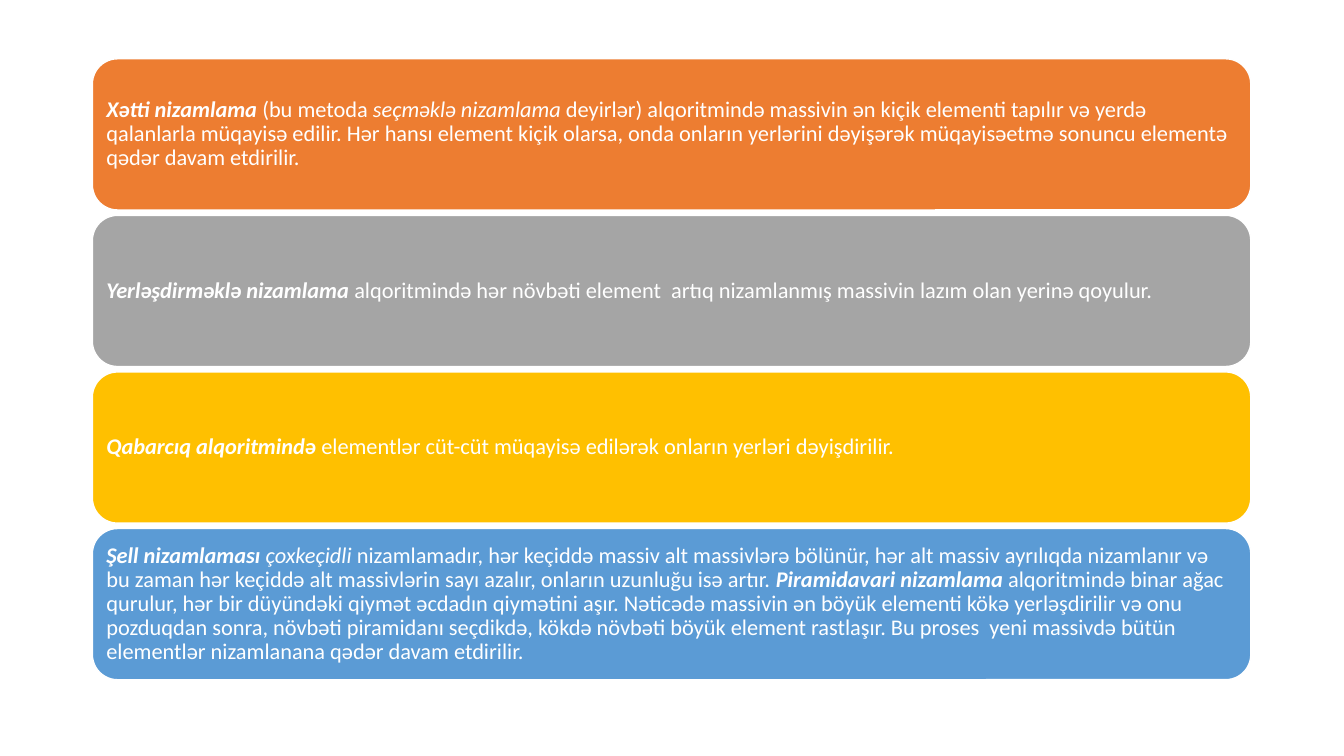
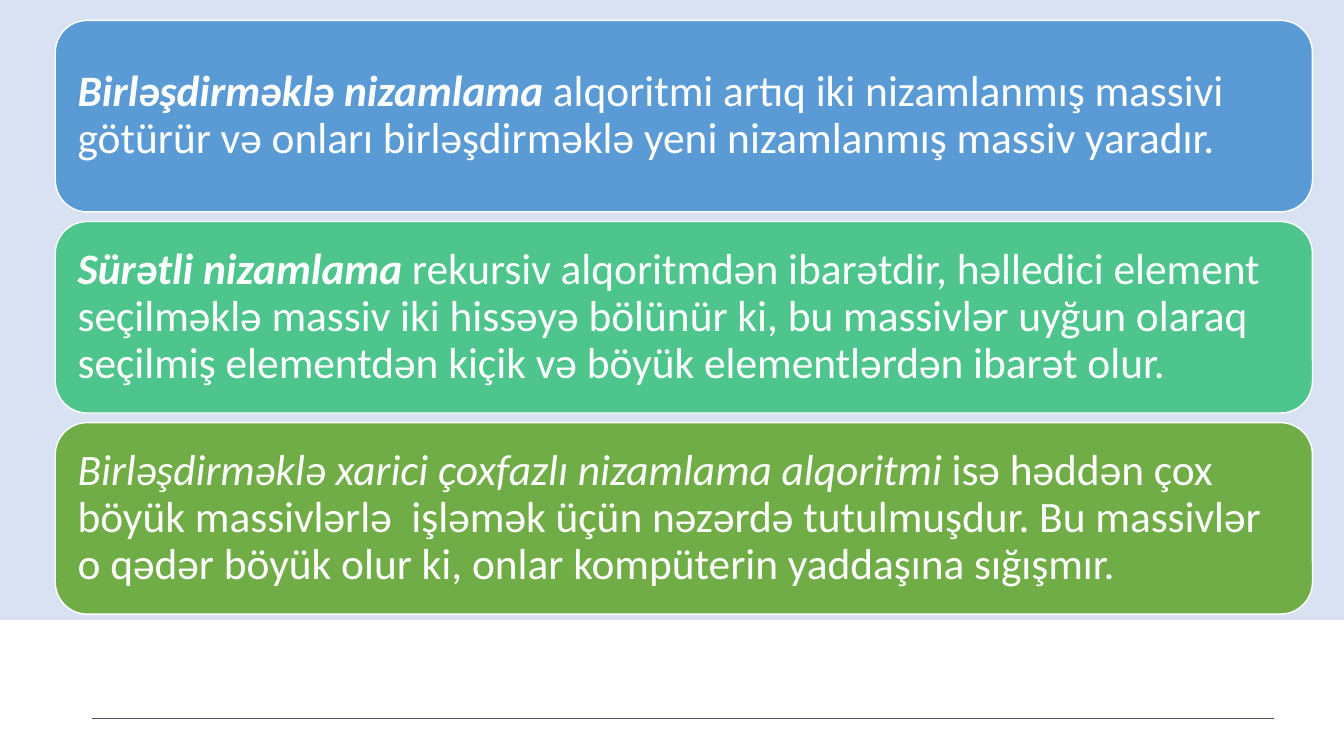
from dataclasses import dataclass

from lxml import etree
from pptx import Presentation
from pptx.dml.color import RGBColor
from pptx.enum.shapes import MSO_CONNECTOR, MSO_SHAPE
from pptx.enum.text import MSO_ANCHOR, PP_ALIGN
from pptx.oxml.ns import qn
from pptx.util import Pt

ROUND = MSO_SHAPE.ROUNDED_RECTANGLE
RECT = MSO_SHAPE.RECTANGLE
STRAIGHT = MSO_CONNECTOR.STRAIGHT
MIDDLE = MSO_ANCHOR.MIDDLE
LEFT = PP_ALIGN.LEFT

WIDTH, HEIGHT = 960, 540
FONT = "Calibri"
COLORS = {
    "white": "FFFFFF",
    "orange": "ED7D31",
    "gray": "A5A5A5",
    "gold": "FFC000",
    "blue": "5B9BD5",
    "mint": "4DC58D",
    "green": "70AD47",
    "band": "4472C4",
    "rule": "44546A",
}


@dataclass(frozen=True)
class Span:
    text: str
    bold: bool = False
    italic: bool = False


@dataclass(frozen=True)
class Card:
    color: str
    spans: tuple[Span, ...]


@dataclass(frozen=True)
class Stack:
    """A column of equal cards; lengths in points."""
    left: float
    top: float
    width: float
    height: float
    gap: float
    size: int
    cards: tuple[Card, ...]


def term(text: str) -> Span:
    return Span(text, bold=True, italic=True)


def slant(text: str) -> Span:
    return Span(text, italic=True)


def rgb(name: str) -> RGBColor:
    return RGBColor.from_string(COLORS[name])


def add_card(slide, stack: Stack, card: Card, top: float) -> None:
    shape = slide.shapes.add_shape(
        ROUND, Pt(stack.left), Pt(top), Pt(stack.width), Pt(stack.height))
    shape.shadow.inherit = False
    shape.fill.solid()
    shape.fill.fore_color.rgb = rgb(card.color)
    shape.line.color.rgb = rgb("white")
    shape.line.width = Pt(1)

    # Insets and spacing follow the text size
    frame = shape.text_frame
    frame.word_wrap = True
    frame.vertical_anchor = MIDDLE
    inset = Pt(0.3 * stack.size)
    frame.margin_left = frame.margin_right = inset
    frame.margin_top = frame.margin_bottom = inset

    para = frame.paragraphs[0]
    para.alignment = LEFT
    para.line_spacing = 0.9
    para.space_after = Pt(0.35 * stack.size)
    para.font.name = FONT
    para.font.size = Pt(stack.size)
    para.font.color.rgb = rgb("white")
    for span in card.spans:
        run = para.add_run()
        run.text = span.text
        run.font.bold = span.bold
        run.font.italic = span.italic


def add_stack(slide, stack: Stack) -> None:
    for row, card in enumerate(stack.cards):
        add_card(slide, stack, card, stack.top + row * (stack.height + stack.gap))


def add_band(slide, height: float, alpha: int) -> None:
    band = slide.shapes.add_shape(RECT, 0, 0, Pt(WIDTH), Pt(height))
    band.shadow.inherit = False
    band.fill.solid()
    band.fill.fore_color.rgb = rgb("band")
    band.line.fill.background()
    color = band.fill._xPr.find(qn("a:solidFill"))[0]
    etree.SubElement(color, qn("a:alpha")).set("val", str(alpha * 1000))


def add_rule(slide, left: float, right: float, top: float) -> None:
    rule = slide.shapes.add_connector(
        STRAIGHT, Pt(left), Pt(top), Pt(right), Pt(top))
    rule.line.color.rgb = rgb("rule")
    rule.line.width = Pt(1)
    etree.SubElement(rule._element.spPr, qn("a:effectLst"))


# Slide 1: simple sorts
SIMPLE = Stack(66, 42, 827.5, 108, 3.85, 16, (
    Card("orange", (
        term("Xətti nizamlama "),
        Span("(bu metoda "),
        slant("seçməklə nizamlama"),
        Span(" deyirlər) alqoritmində massivin ən kiçik elementi tapılır və "
             "yerdə qalanlarla müqayisə edilir. Hər hansı element kiçik olarsa, "
             "onda onların yerlərini dəyişərək müqayisəetmə sonuncu elementə "
             "qədər davam etdirilir."))),
    Card("gray", (
        term("Yerləşdirməklə nizamlama "),
        Span("alqoritmində hər növbəti element  artıq nizamlanmış massivin "
             "lazım olan yerinə qoyulur."))),
    Card("gold", (
        term("Qabarcıq alqoritmində "),
        Span("elementlər cüt-cüt müqayisə edilərək onların yerləri "
             "dəyişdirilir."))),
    Card("blue", (
        term("Şell nizamlaması "),
        slant("çoxkeçidli "),
        Span("nizamlamadır, hər keçiddə massiv alt massivlərə bölünür, hər alt "
             "massiv ayrılıqda nizamlanır və bu zaman hər keçiddə alt "
             "massivlərin sayı azalır, onların uzunluğu isə artır. "),
        term("Piramidavari nizamlama "),
        Span("alqoritmində binar ağac qurulur, hər bir düyündəki qiymət əcdadın "
             "qiymətini aşır. Nəticədə massivin ən böyük elementi kökə "
             "yerləşdirilir və onu pozduqdan sonra, növbəti piramidanı "
             "seçdikdə, kökdə növbəti böyük element rastlaşır. Bu proses  yeni "
             "massivdə bütün elementlər nizamlanana qədər davam etdirilir."))),
))

# Slide 2: merge and quick sorts
MERGE = Stack(39.5, 14.6, 898, 136.8, 6.85, 31, (
    Card("blue", (
        term("Birləşdirməklə nizamlama "),
        Span("alqoritmi artıq iki nizamlanmış massivi götürür və onları "
             "birləşdirməklə yeni nizamlanmış massiv yaradır."))),
    Card("mint", (
        term("Sürətli nizamlama "),
        Span("rekursiv alqoritmdən ibarətdir, həlledici element seçilməklə "
             "massiv iki hissəyə bölünür ki, bu massivlər uyğun olaraq seçilmiş "
             "elementdən kiçik və böyük elementlərdən ibarət olur."))),
    Card("green", (
        slant("Birləşdirməklə xarici çoxfazlı nizamlama alqoritmi"),
        Span(" isə həddən çox böyük massivlərlə  işləmək üçün nəzərdə "
             "tutulmuşdur. Bu massivlər o qədər böyük olur ki, onlar "
             "kompüterin yaddaşına sığışmır."))),
))


def main() -> None:
    deck = Presentation()
    deck.slide_width, deck.slide_height = Pt(WIDTH), Pt(HEIGHT)
    blank = deck.slide_layouts[6]

    add_stack(deck.slides.add_slide(blank), SIMPLE)

    slide = deck.slides.add_slide(blank)
    add_band(slide, 442.8, 20)
    add_rule(slide, 66, 910, 513.4)
    add_stack(slide, MERGE)

    deck.save("out.pptx")


if __name__ == "__main__":
    main()
